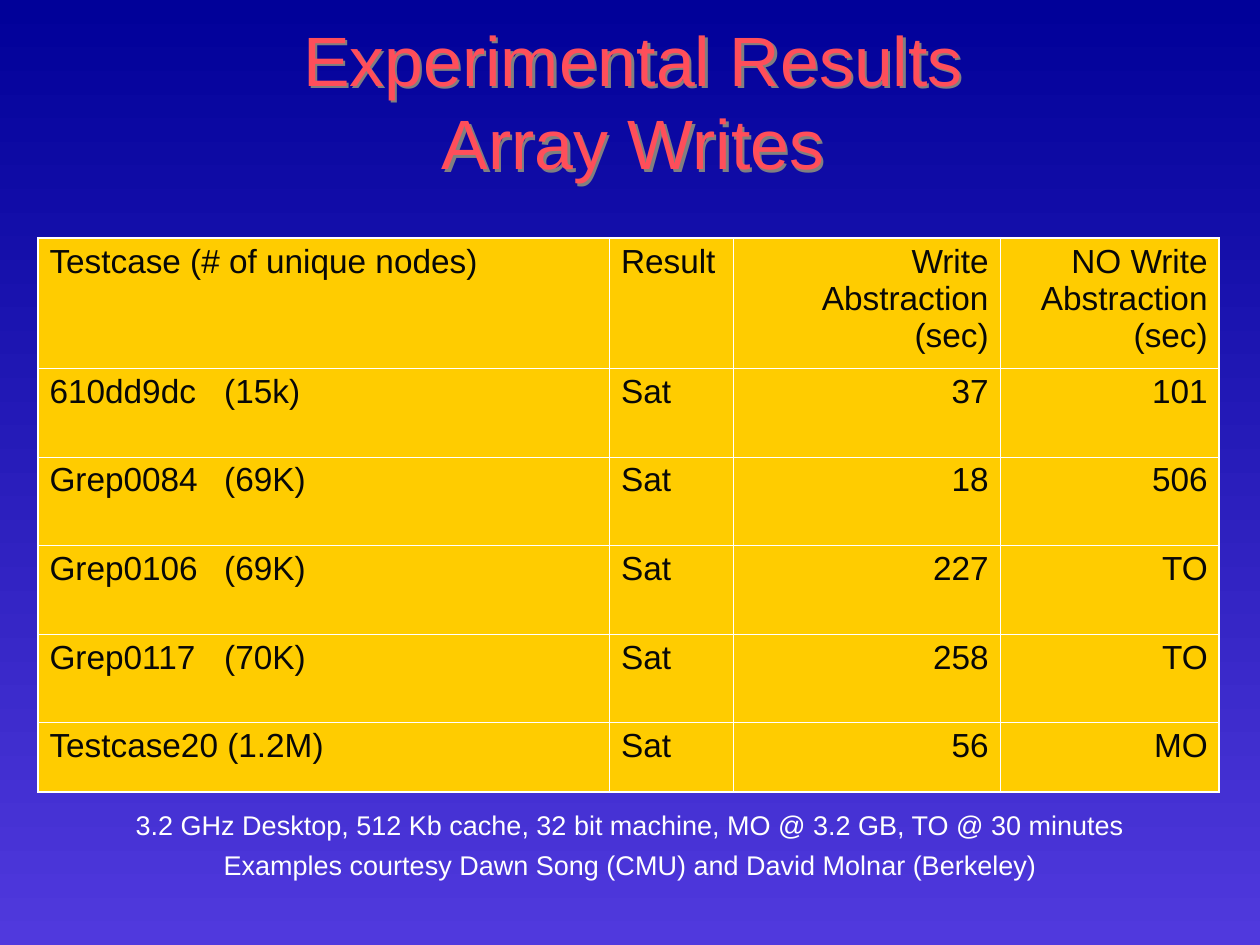
from lxml.etree import SubElement
from pptx import Presentation
from pptx.dml.color import RGBColor
from pptx.enum.text import MSO_ANCHOR, PP_ALIGN
from pptx.oxml.ns import qn
from pptx.util import Pt

NAVY = RGBColor(0x01, 0x01, 0x99)
VIOLET = RGBColor(0x50, 0x39, 0xDD)
CORAL = RGBColor(0xFF, 0x4E, 0x5A)
GOLD = RGBColor(0xFF, 0xCC, 0x00)
BLACK = RGBColor(0x08, 0x08, 0x08)
WHITE = RGBColor(0xFF, 0xFF, 0xFF)
GREY = RGBColor(0x80, 0x80, 0x80)

FONT = "Arial"
THIN, THICK = 0.45, 1.08
NODE_COUNT_TAB = 110

COLUMN_WIDTHS = [360, 78, 168, 138]
ROW_HEIGHTS = [77.5] + [55.8] * 4 + [43.9]
RESULTS = [
    ["Testcase (# of unique nodes)", "Result",
     "Write\nAbstraction\n(sec)", "NO Write\nAbstraction\n(sec)"],
    ["610dd9dc\t(15k)", "Sat", "37", "101"],
    ["Grep0084\t(69K)", "Sat", "18", "506"],
    ["Grep0106\t(69K)", "Sat", "227", "TO"],
    ["Grep0117\t(70K)", "Sat", "258", "TO"],
    ["Testcase20 (1.2M)", "Sat", "56", "MO"],
]
FOOTNOTE = (
    "3.2 GHz Desktop, 512 Kb cache, 32 bit machine, MO @ 3.2 GB, TO @ 30 minutes\n"
    "Examples courtesy Dawn Song (CMU) and David Molnar (Berkeley)"
)


def paint_background(slide):
    fill = slide.background.fill
    fill.gradient()
    fill.gradient_angle = 270
    for stop, color in zip(fill.gradient_stops, (NAVY, VIOLET)):
        stop.color.rgb = color


def format_paragraphs(frame, size, color, align):
    for paragraph in frame.paragraphs:
        paragraph.alignment = align
        paragraph.font.name = FONT
        paragraph.font.size = Pt(size)
        paragraph.font.color.rgb = color


def add_centered_text(slide, box, text, size, color):
    shape = slide.shapes.add_textbox(*map(Pt, box))
    frame = shape.text_frame
    frame.word_wrap = True
    frame.margin_left = frame.margin_right = 0
    frame.margin_top = frame.margin_bottom = 0
    frame.text = text
    format_paragraphs(frame, size, color, PP_ALIGN.CENTER)
    return shape


def add_shadow(shape):
    """Give an unfilled text box a shadow, which falls from its letters."""
    effects = SubElement(shape._element.spPr, qn("a:effectLst"))
    shadow = SubElement(effects, qn("a:outerShdw"),
                        dist=str(Pt(2)), dir="2700000")
    SubElement(shadow, qn("a:srgbClr"), val=str(GREY))


def add_tab_stop(paragraph, position):
    """Add a tab stop, which has to stand before the paragraph's font."""
    properties = paragraph._p.get_or_add_pPr()
    tabs = SubElement(properties, qn("a:tabLst"))
    SubElement(tabs, qn("a:tab"), pos=str(Pt(position)), algn="l")
    properties.append(properties.find(qn("a:defRPr")))


def draw_borders(cell, widths):
    """Draw white borders; widths are left, right, top, bottom in points."""
    properties = cell._tc.get_or_add_tcPr()
    for side, width in zip("LRTB", widths):
        line = SubElement(properties, qn(f"a:ln{side}"), w=str(Pt(width)))
        fill = SubElement(line, qn("a:solidFill"))
        SubElement(fill, qn("a:srgbClr"), val=str(WHITE))


def fill_cell(cell, text, align):
    cell.fill.solid()
    cell.fill.fore_color.rgb = GOLD
    cell.margin_top = cell.margin_bottom = Pt(3.2)
    cell.text = text
    format_paragraphs(cell.text_frame, 21, BLACK, align)
    if "\t" in text:
        add_tab_stop(cell.text_frame.paragraphs[0], NODE_COUNT_TAB)


def add_results_table(slide):
    table = slide.shapes.add_table(
        len(ROW_HEIGHTS), len(COLUMN_WIDTHS), Pt(24), Pt(150),
        Pt(sum(COLUMN_WIDTHS)), Pt(sum(ROW_HEIGHTS))).table
    for column, width in zip(table.columns, COLUMN_WIDTHS):
        column.width = Pt(width)
    for row, height in zip(table.rows, ROW_HEIGHTS):
        row.height = Pt(height)

    last_row, last_column = len(ROW_HEIGHTS) - 1, len(COLUMN_WIDTHS) - 1
    for r, texts in enumerate(RESULTS):
        for c, text in enumerate(texts):
            cell = table.cell(r, c)
            outer = (c == 0, c == last_column, r == 0, r == last_row)
            draw_borders(cell, [THICK if edge else THIN for edge in outer])
            fill_cell(cell, text, PP_ALIGN.LEFT if c < 2 else PP_ALIGN.RIGHT)


def main():
    presentation = Presentation()
    presentation.slide_width = Pt(793.7)
    presentation.slide_height = Pt(595.28)
    slide = presentation.slides.add_slide(presentation.slide_layouts[6])

    paint_background(slide)
    title = add_centered_text(slide, (60, 18, 678, 90),
                              "Experimental Results\vArray Writes", 44, CORAL)
    title.text_frame.vertical_anchor = MSO_ANCHOR.MIDDLE
    add_shadow(title)

    add_results_table(slide)

    footnote = add_centered_text(slide, (22.5, 515.5, 749, 38), FOOTNOTE,
                                 17, WHITE)
    for paragraph in footnote.text_frame.paragraphs:
        paragraph.line_spacing = 0.67
        paragraph.space_before = Pt(11.4)

    presentation.save("out.pptx")


if __name__ == "__main__":
    main()
